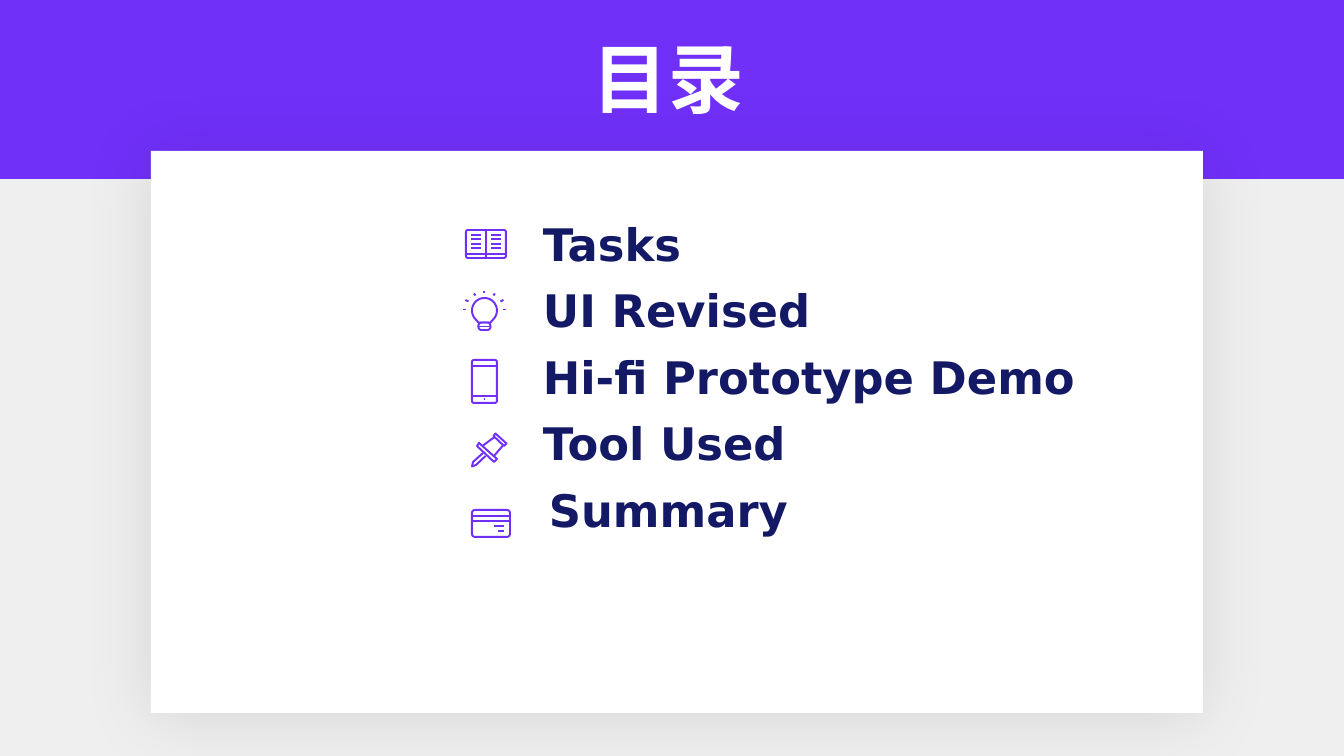
from dataclasses import dataclass
from math import cos, radians, sin

from lxml.etree import SubElement
from pptx import Presentation
from pptx.dml.color import RGBColor
from pptx.enum.shapes import MSO_SHAPE
from pptx.enum.text import MSO_AUTO_SIZE
from pptx.oxml.ns import qn
from pptx.util import Emu, Pt

PX = 12192000 / 1344
FINE = 10


def px(length):
    return Emu(round(length * PX))


def color(code):
    return RGBColor.from_string(code)


def arc(x, y, radius, start, end, steps):
    angles = [radians(start + (end - start) * i / steps) for i in range(steps + 1)]
    return [(x + radius * cos(a), y + radius * sin(a)) for a in angles]


def rounded(left, top, right, bottom, radius):
    corners = [
        (right - radius, bottom - radius),
        (left + radius, bottom - radius),
        (left + radius, top + radius),
        (right - radius, top + radius),
    ]
    points = []
    for i, (x, y) in enumerate(corners):
        points += arc(x, y, radius, 90 * i, 90 * i + 90, 4)
    return points, True


def dash(x1, y1, x2, y2):
    return [(x1, y1), (x2, y2)], False


@dataclass
class SlideBuilder:
    deck: object
    page: object
    purple: str = "7030F8"
    navy: str = "131965"
    white: str = "FFFFFF"
    gray: str = "EFEFEF"
    label_font: str = "DejaVu Sans"
    title_font: str = "Courier New"

    def background(self):
        fill = self.page.background.fill
        fill.solid()
        fill.fore_color.rgb = color(self.gray)

    def panel(self, kind, left, top, width, height, fill):
        shape = self.page.shapes.add_shape(kind, px(left), px(top), px(width), px(height))
        shape.shadow.inherit = False
        shape.fill.solid()
        shape.fill.fore_color.rgb = color(fill)
        shape.line.fill.background()
        return shape

    def soft_shadow(self, shape, blur, distance, opacity):
        effects = shape._element.spPr.find(qn("a:effectLst"))
        shadow = SubElement(
            effects, qn("a:outerShdw"), blurRad=str(Pt(blur)), dist=str(Pt(distance)),
            dir="5400000", algn="t", rotWithShape="0")
        tint = SubElement(shadow, qn("a:srgbClr"), val="000000")
        SubElement(tint, qn("a:alpha"), val=str(opacity * 1000))

    def text(self, wording, left, top, width, height, size, font, ink):
        box = self.page.shapes.add_textbox(px(left), px(top), px(width), px(height))
        frame = box.text_frame
        frame.word_wrap = True
        frame.auto_size = MSO_AUTO_SIZE.SHAPE_TO_FIT_TEXT
        frame.text = wording
        for span in frame.paragraphs[0].runs:
            span.font.size = Pt(size)
            span.font.name = font
            span.font.bold = True
            span.font.color.rgb = color(ink)

    def icon(self, strokes):
        builder = None
        for points, closed in strokes:
            first, *others = [(x * FINE, y * FINE) for x, y in points]
            if builder is None:
                builder = self.page.shapes.build_freeform(*first, scale=PX / 2 / FINE)
            else:
                builder.move_to(*first)
            builder.add_line_segments(others, close=closed)
        shape = builder.convert_to_shape()
        shape.shadow.inherit = False
        shape.fill.background()
        shape.line.color.rgb = color(self.purple)
        shape.line.width = Pt(1.4)


def half_pixel_icons():
    book = [rounded(932, 460, 1012, 516, 4), dash(972, 460, 972, 516), dash(932, 508, 1012, 508)]
    book += [dash(x, y, x + 20, y) for x in (942, 982) for y in range(470, 499, 9)]

    bulb = [
        (arc(969, 621, 25, 145, 395, 24) + [(981, 645), (957, 645)], True),
        rounded(957, 645, 981, 660, 6),
        dash(957, 653, 981, 653),
        dash(969, 582, 969, 586),
    ]
    for side in (-1, 1):
        for x1, y1, x2, y2 in [(18, 591, 21, 587), (32, 603, 38, 600), (37, 619, 43, 619)]:
            bulb.append(dash(969 + side * x1, y1, 969 + side * x2, y2))

    phone = [
        rounded(944, 720, 994, 806, 4),
        dash(944, 732, 994, 732),
        dash(944, 792, 994, 792),
        dash(968, 799, 970, 799),
    ]
    pin = [
        ([(991, 867), (1013, 887), (1008, 892), (987, 872)], True),
        ([(958, 886), (994, 918), (988, 924), (954, 892)], True),
        dash(988, 875, 966, 891),
        dash(1005, 892, 988, 912),
        ([(966, 906), (946, 924), (944, 933), (952, 930), (971, 912)], False),
    ]
    card = [
        rounded(944, 1020, 1020, 1074, 6),
        dash(944, 1032, 1020, 1032),
        dash(944, 1042, 1020, 1042),
        dash(988, 1053, 1009, 1053),
        dash(997, 1063, 1009, 1063),
    ]
    return [book, bulb, phone, pin, card]


def main():
    deck = Presentation()
    deck.slide_width, deck.slide_height = px(1344), px(756)
    page = deck.slides.add_slide(deck.slide_layouts[6])
    contents = SlideBuilder(deck, page)

    contents.background()
    contents.panel(MSO_SHAPE.RECTANGLE, 0, -3, 1344, 182, contents.purple)
    sheet = contents.panel(MSO_SHAPE.ROUNDED_RECTANGLE, 151, 151, 1052, 562, contents.white)
    sheet.adjustments[0] = 0
    contents.soft_shadow(sheet, 50, 3, 10)
    contents.text("目录", 583, 27, 257, 102, 54, contents.title_font, contents.white)

    entries = [
        ("Tasks", 533, 249),
        ("UI Revised", 533, 314),
        ("Hi-fi Prototype Demo", 533, 613),
        ("Tool Used", 533, 308),
        ("Summary", 539, 279),
    ]
    for row, (wording, left, width) in enumerate(entries):
        top = 212 + row * 133 // 2
        contents.text(wording, left, top, width, 65, 32, contents.label_font, contents.navy)
    for strokes in half_pixel_icons():
        contents.icon(strokes)

    deck.save("out.pptx")


if __name__ == "__main__":
    main()
